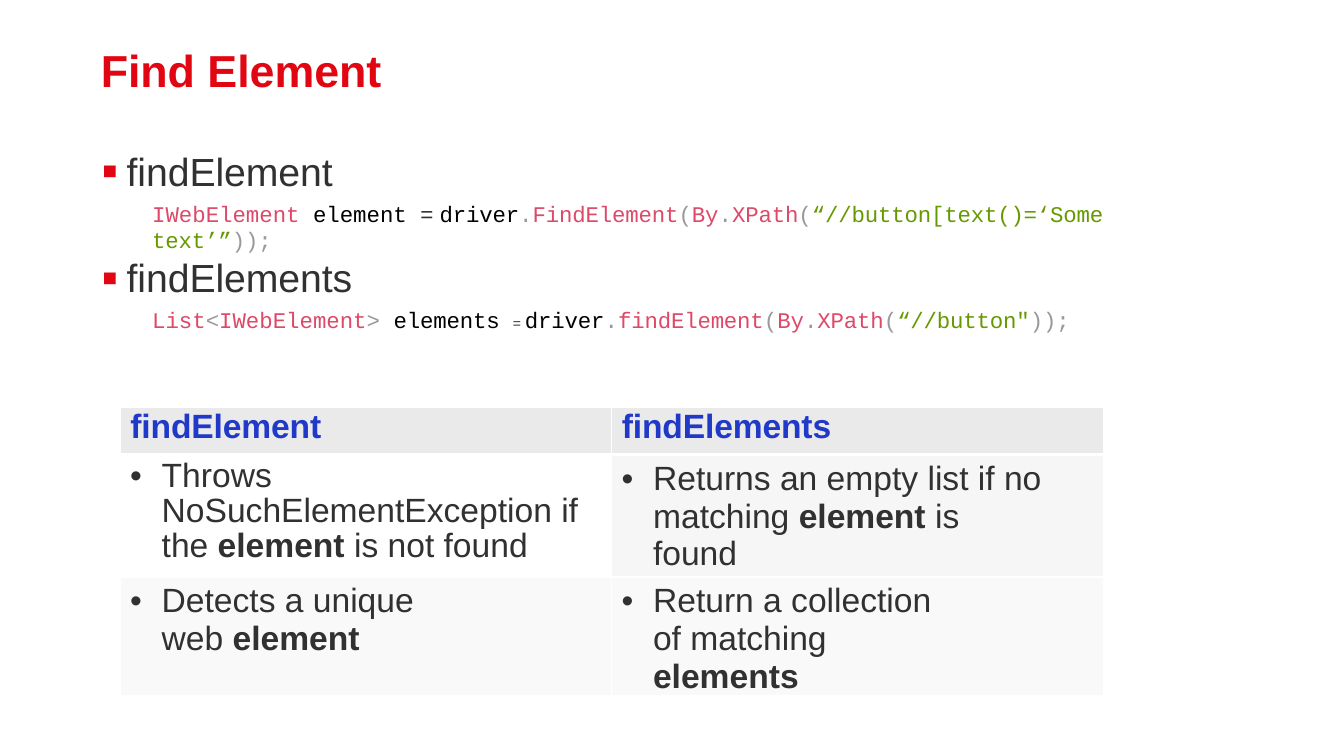
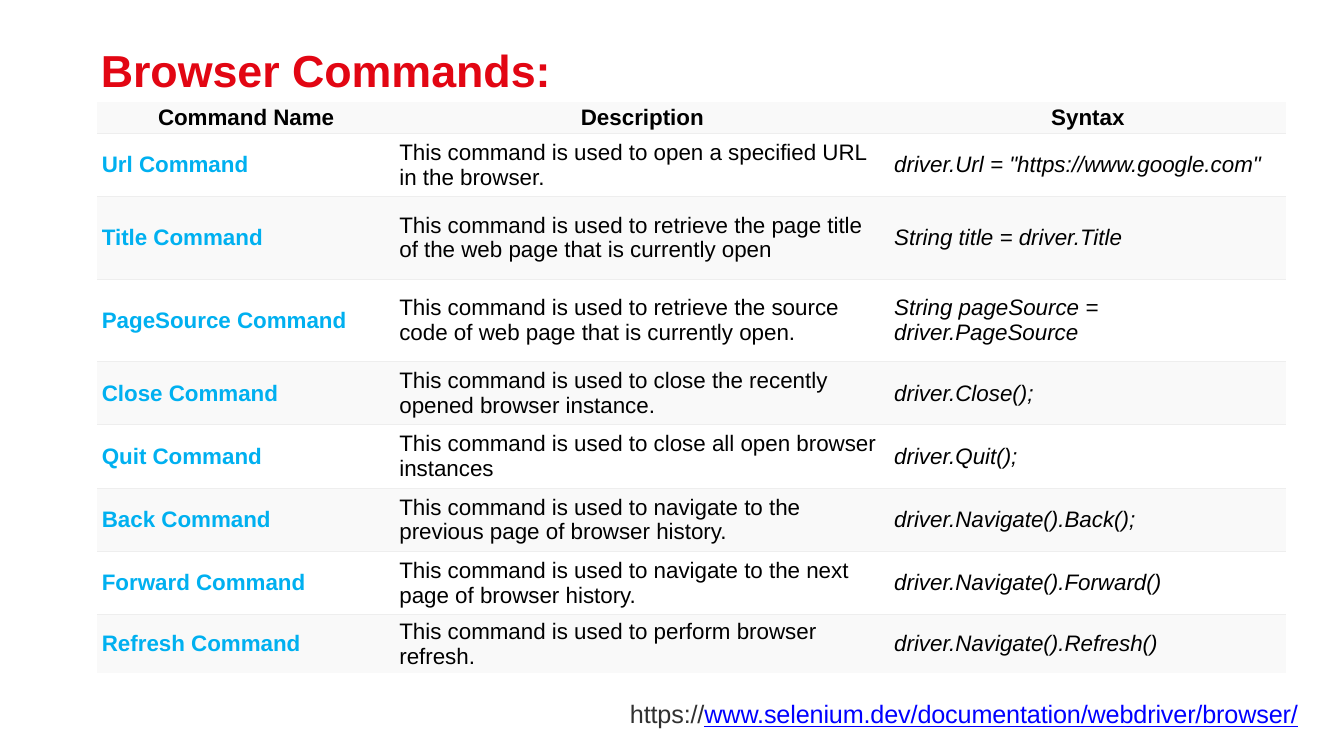
"""Build two slides on finding elements and on browser commands."""
from lxml import etree
from pptx import Presentation
from pptx.dml.color import RGBColor
from pptx.enum import text
from pptx.oxml import ns
from pptx.util import Pt

RED = RGBColor(0xE2, 0x06, 0x13)
INK = RGBColor(0x31, 0x31, 0x31)
BLACK = RGBColor(0, 0, 0)
WHITE = RGBColor(0xFF, 0xFF, 0xFF)
BLUE = RGBColor(0x20, 0x39, 0xC8)
SKY = RGBColor(0x00, 0xB0, 0xF0)
LINK = RGBColor(0, 0, 0xFF)
PINK = RGBColor(0xDD, 0x49, 0x68)
GREEN = RGBColor(0x66, 0x99, 0x00)
GREY = RGBColor(0x99, 0x99, 0x99)
HEADER_FILL = RGBColor(0xEA, 0xEA, 0xEA)
PALE = RGBColor(0xF6, 0xF6, 0xF6)
PALER = RGBColor(0xF9, 0xF9, 0xF9)
RULE = RGBColor(0xEE, 0xEE, 0xEE)
PLAIN_TABLE = "{2D5ABB26-0587-4C30-8999-92F81FD0307C}"

TITLE = {"name": "Arial", "size": Pt(32), "bold": True, "color": RED, "spacing": -5}
ITEM = {"name": "Arial", "size": Pt(28), "bold": False, "color": INK, "spacing": -5}
CODE = {"name": "Courier New", "size": Pt(16), "color": BLACK, "spacing": -10}
HEADING = {"name": "Arial", "size": Pt(24), "bold": True, "color": BLUE, "spacing": -10}
POINT = {"name": "Arial", "size": Pt(24), "color": INK}
COMMAND = {"name": "Arial", "size": Pt(16), "color": BLACK}
ADDRESS = {"name": "Arial", "size": Pt(18), "color": INK, "spacing": -10}
STRONG = {"bold": True}
FRAME = {"margin_left": 0, "margin_right": 0, "margin_top": Pt(0.7), "margin_bottom": 0,
         "word_wrap": True, "vertical_anchor": text.MSO_ANCHOR.TOP,
         "auto_size": text.MSO_AUTO_SIZE.SHAPE_TO_FIT_TEXT}


def write(paragraph, runs, base, left=0, hanging=0, bullet=None, **layout):
    properties = paragraph._p.get_or_add_pPr()
    properties.set("marL", str(Pt(left)))
    properties.set("indent", str(-Pt(hanging)))
    if bullet == "▪":
        color = etree.SubElement(properties, ns.qn("a:buClr"))
        etree.SubElement(color, ns.qn("a:srgbClr"), val=str(RED))
        etree.SubElement(properties, ns.qn("a:buSzPct"), val="120000")
    if bullet:
        etree.SubElement(properties, ns.qn("a:buFont"), typeface="Arial")
        etree.SubElement(properties, ns.qn("a:buChar"), char=bullet)
    else:
        etree.SubElement(properties, ns.qn("a:buNone"))
    defaults = {"space_before": 0, "line_spacing": 1.0, "alignment": text.PP_ALIGN.LEFT}
    for name, value in (defaults | layout).items():
        setattr(paragraph, name, value)
    for content, changes in runs:
        run = paragraph.add_run()
        run.text = content
        for name, value in (base | changes).items():
            if name == "color":
                run.font.color.rgb = value
            elif name == "spacing":
                run._r.get_or_add_rPr().set("spc", str(value))
            else:
                setattr(run.font, name, value)


def format_cell(cell, fill, margins, borders):
    for side, margin in zip(("left", "top", "right", "bottom"), margins):
        setattr(cell, f"margin_{side}", Pt(margin))
    properties = cell._tc.get_or_add_tcPr()
    for side, (color, width) in borders.items():
        line = etree.SubElement(properties, ns.qn(f"a:ln{side}"), w=str(Pt(width)))
        solid = etree.SubElement(line, ns.qn("a:solidFill"))
        etree.SubElement(solid, ns.qn("a:srgbClr"), val=str(color))
    cell.fill.solid()
    cell.fill.fore_color.rgb = fill


presentation = Presentation()
presentation.slide_width, presentation.slide_height = Pt(960), Pt(540)

slides = []
for layout_index, title_text, title_width in (
        (1, "Find Element", 203), (5, "Browser Commands:", 333)):
    slide = presentation.slides.add_slide(presentation.slide_layouts[layout_index])
    slides.append(slide)
    title = slide.shapes.title
    title.left, title.top, title.width, title.height = Pt(72), Pt(29.5), Pt(title_width), Pt(40.3)
    for name, value in FRAME.items():
        setattr(title.text_frame, name, value)
    write(title.text_frame.paragraphs[0], [(title_text, {})], TITLE)
find_slide, command_slide = slides

pink, green, grey = ({"color": color} for color in (PINK, GREEN, GREY))
by_xpath = [("(", grey), ("By", pink), (".", grey), ("XPath", pink), ("(", grey)]
examples = [
    ("findElement", [
        ("IWebElement ", pink | {"spacing": 0}), ("element ", {"spacing": 0}),
        ("= ", {"name": "Arial", "color": INK, "spacing": 0}), ("driver", {}),
        (".", grey), ("FindElement", pink), *by_xpath,
        ("“//button[text()=‘Some text’”", green), ("));", grey)]),
    ("findElements", [
        ("List", pink | {"spacing": 0}), ("<", grey | {"spacing": 0}),
        ("IWebElement", pink | {"spacing": 0}), ("> ", grey | {"spacing": 0}),
        ("elements ", {}),
        ("= ", {"name": "Arial", "size": Pt(10), "color": INK, "spacing": 0}),
        ("driver", {}), (".", grey), ("findElement", pink), *by_xpath,
        ("“//button\"", green), ("));", grey)]),
]
body = find_slide.placeholders[1]
body.left, body.top, body.width, body.height = Pt(72), Pt(100.8), Pt(748), Pt(138)
for name, value in (FRAME | {"margin_top": Pt(4.3)}).items():
    setattr(body.text_frame, name, value)
for index, (method, code) in enumerate(examples):
    paragraph = body.text_frame.add_paragraph() if index else body.text_frame.paragraphs[0]
    write(paragraph, [(method, {})], ITEM, 18.5, 18, "▪")
    write(body.text_frame.add_paragraph(), code, CODE, 36.7, space_before=Pt(3.9))

comparison = [
    [([("findElement", {})], HEADER_FILL, 0), ([("findElements", {})], HEADER_FILL, 0)],
    [([("Throws NoSuchElementException if the ", {}), ("element ", STRONG),
       ("is not found", {})], WHITE, 0),
     ([("Returns an empty list if no matching ", {}), ("element ", STRONG),
       ("is found", {})], PALE, 39)],
    [([("Detects a unique web ", {}), ("element", STRONG)], PALER, 119),
     ([("Return a collection of matching ", {}), ("elements", STRONG)], PALER, 108)],
]
table = find_slide.shapes.add_table(3, 2, Pt(86), Pt(291), Pt(702), Pt(205.6)).table
table._tbl.tblPr[0].text = PLAIN_TABLE
table.first_row = table.horz_banding = False
for column in table.columns:
    column.width = Pt(351)
for row_index, (height, row) in enumerate(zip((33.6, 87.6, 84.6), comparison)):
    table.rows[row_index].height = Pt(height)
    borders = {"L": (WHITE, 1), "R": (WHITE, 1),
               "T": (WHITE, 3 if row_index == 1 else 1),
               "B": (WHITE, 3 if row_index == 0 else 1)}
    for column_index, (runs, fill, right) in enumerate(row):
        cell = table.cell(row_index, column_index)
        paragraph = cell.text_frame.paragraphs[0]
        format_cell(cell, fill, (0, 3.6 if row_index else 0.7, right, 0), borders)
        if row_index == 0:
            write(paragraph, runs, HEADING, 7.2)
        else:
            spacing = 0.93 if fill == WHITE else Pt(27)
            write(paragraph, runs, POINT, 29.5, 22.5, "•", line_spacing=spacing)

link_box = command_slide.shapes.add_textbox(Pt(450), Pt(498), Pt(485), Pt(24))
for name, value in FRAME.items():
    setattr(link_box.text_frame, name, value)
write(link_box.text_frame.paragraphs[0],
      [("https://", {}), ("www.selenium.dev/documentation/webdriver/browser/",
                          {"color": LINK, "underline": True})], ADDRESS)

commands = [
    ("Command Name", "Description", "Syntax", 22.2),
    ("Url Command", "This command is used to open a specified URL in the browser.",
     "driver.Url = \"https://www.google.com\"", 45.2),
    ("Title Command",
     "This command is used to retrieve the page title of the web page that is currently open",
     "String title = driver.Title", 59),
    ("PageSource Command",
     "This command is used to retrieve the source code of web page that is currently open.",
     "String pageSource = driver.PageSource", 59),
    ("Close Command", "This command is used to close the recently opened browser instance.",
     "driver.Close();", 45.2),
    ("Quit Command", "This command is used to close all open browser instances",
     "driver.Quit();", 45.2),
    ("Back Command",
     "This command is used to navigate to the previous page of browser history.",
     "driver.Navigate().Back();", 45.2),
    ("Forward Command",
     "This command is used to navigate to the next page of browser history.",
     "driver.Navigate().Forward()", 45.2),
    ("Refresh Command", "This command is used to perform browser refresh.",
     "driver.Navigate().Refresh()", 41.8),
]
column_styles = [{"bold": True, "color": SKY}, {}, {"italic": True}]
table = command_slide.shapes.add_table(9, 3, Pt(69.6), Pt(72.8), Pt(849), Pt(408)).table
table._tbl.tblPr[0].text = PLAIN_TABLE
table.first_row = table.horz_banding = False
for column, width in zip(table.columns, (212.5, 353.5, 283)):
    column.width = Pt(width)
last = len(commands) - 1
for row_index, (*texts, height) in enumerate(commands):
    table.rows[row_index].height = Pt(height)
    borders = {}
    if row_index > 0:
        borders["T"] = (RULE, 0.75)
    if row_index < last:
        borders["B"] = (RULE, 0.75)
    for column_index, content in enumerate(texts):
        cell = table.cell(row_index, column_index)
        format_cell(cell, WHITE if row_index % 2 else PALER, (3.2, 1.6, 3.2, 1.6), borders)
        cell.vertical_anchor = text.MSO_ANCHOR.MIDDLE
        style = column_styles[column_index] if row_index else STRONG
        alignment = text.PP_ALIGN.LEFT if row_index else text.PP_ALIGN.CENTER
        write(cell.text_frame.paragraphs[0], [(content, style)], COMMAND, alignment=alignment)

presentation.save("out.pptx")
